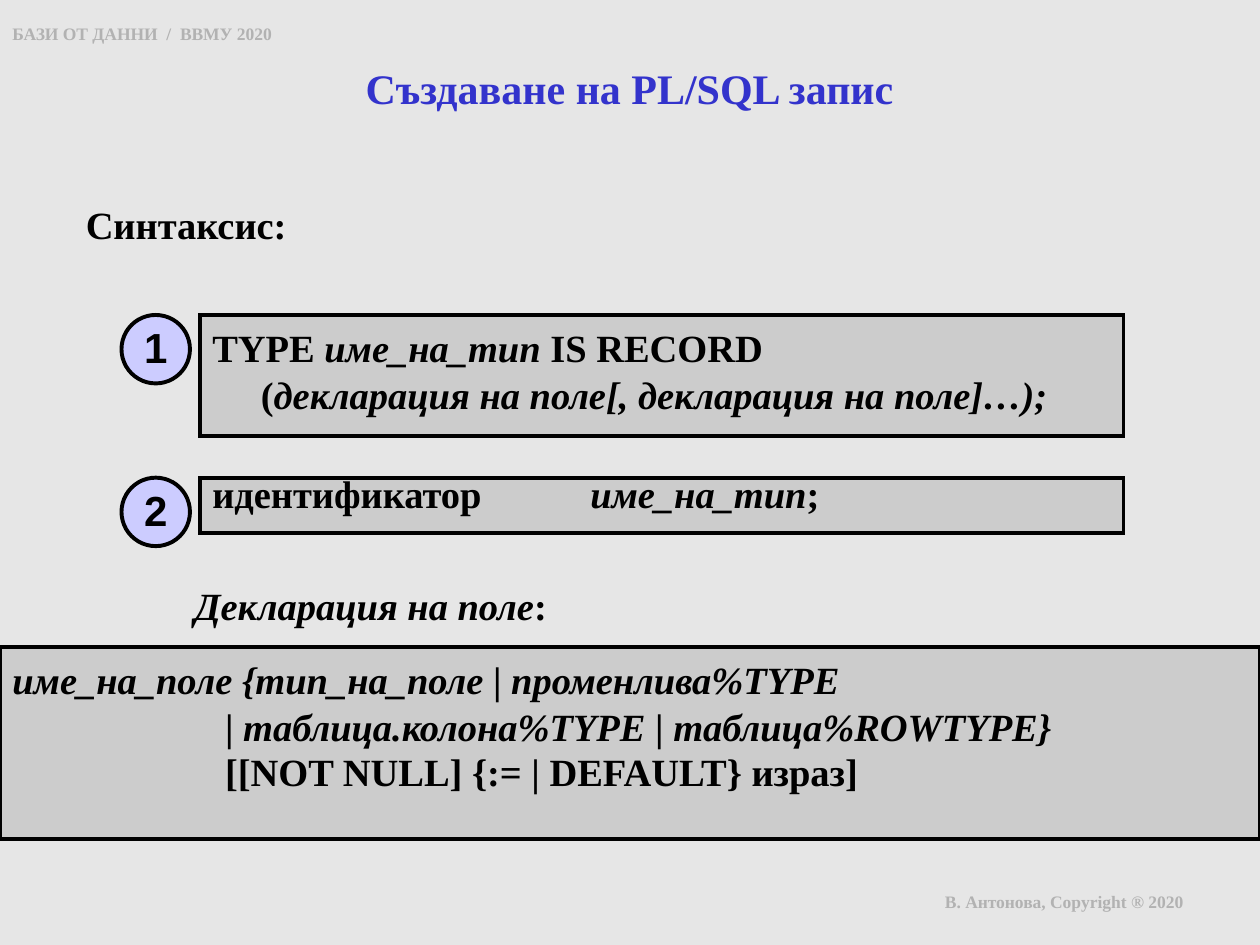
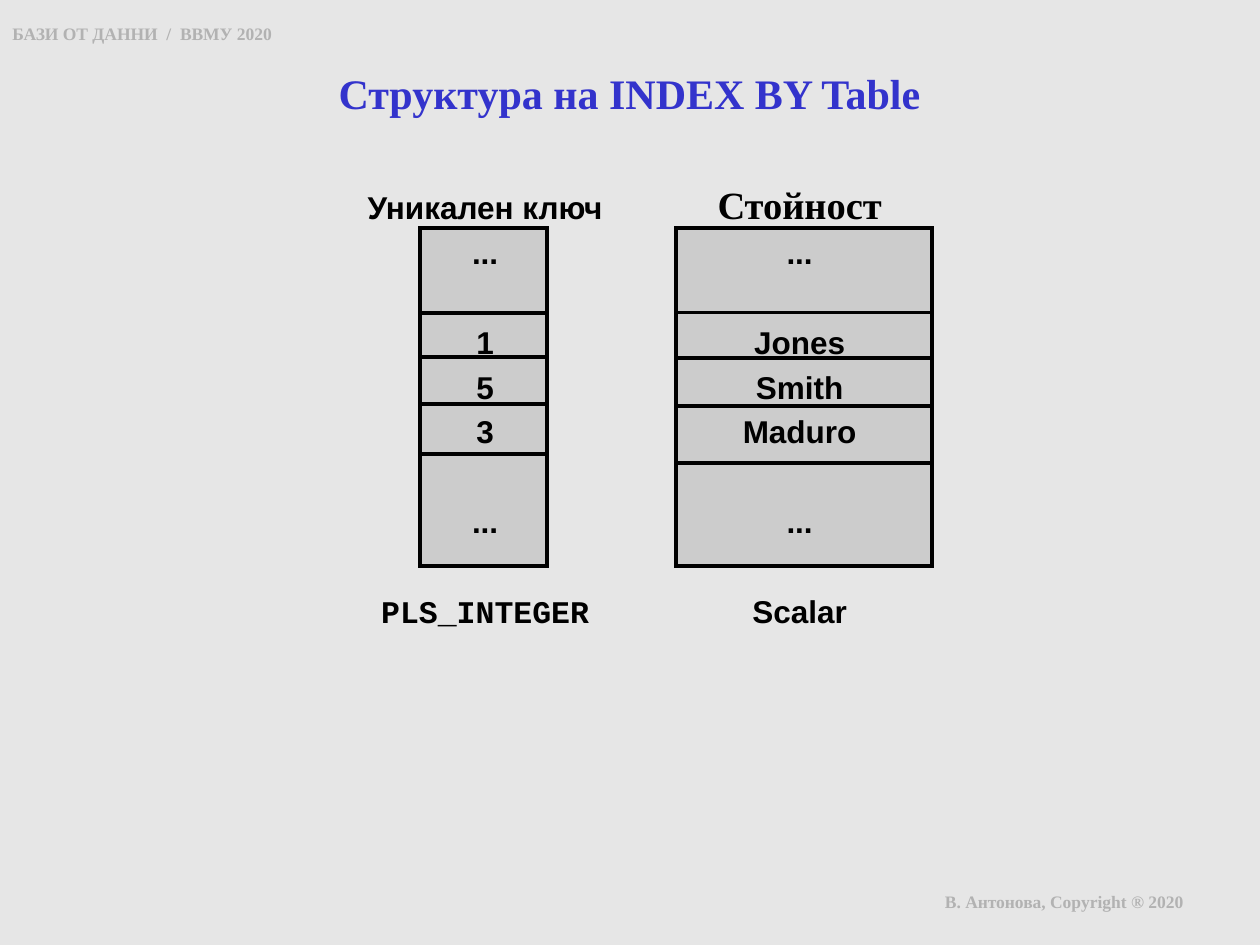
from dataclasses import dataclass, replace

from lxml import etree
from pptx import Presentation
from pptx.dml.color import RGBColor
from pptx.enum.shapes import MSO_CONNECTOR, MSO_SHAPE
from pptx.enum.text import MSO_ANCHOR, PP_ALIGN
from pptx.oxml.ns import qn
from pptx.util import Cm, Pt

RECTANGLE, OVAL = MSO_SHAPE.RECTANGLE, MSO_SHAPE.OVAL
STRAIGHT = MSO_CONNECTOR.STRAIGHT
LEFT, CENTER = PP_ALIGN.LEFT, PP_ALIGN.CENTER
TOP, MIDDLE = MSO_ANCHOR.TOP, MSO_ANCHOR.MIDDLE


@dataclass(frozen=True)
class Theme:
    """Colours, fonts, sizes and insets shared by the slides."""
    background: str = "E6E6E6"
    panel: str = "CCCCCC"
    badge: str = "CCCCFF"
    ink: str = "000000"
    title: str = "3333CC"
    muted: str = "B2B2B2"
    serif: str = "Times New Roman"
    sans: str = "Arial"
    mono: str = "Courier New"
    title_size: int = 24
    body_size: int = 22
    cell_size: int = 18
    note_size: int = 10
    outline: float = 2.25
    padding: tuple = (0.25, 0.13)
    tight: tuple = (0.03, 0.03)
    badge_padding: tuple = (0.13, 0.13)


THEME = Theme()


@dataclass(frozen=True)
class Style:
    """Look of one run of text."""
    size: int = THEME.body_size
    font: str = THEME.serif
    color: str = THEME.ink
    italic: bool = False


BODY = Style()
ITALIC = replace(BODY, italic=True)
TITLE = Style(THEME.title_size, color=THEME.title)
NOTE = Style(THEME.note_size, color=THEME.muted)
BADGE = Style(THEME.title_size, THEME.sans)
CELL = Style(THEME.cell_size, THEME.sans)
CODE = replace(CELL, font=THEME.mono)


@dataclass(frozen=True)
class Line:
    """A paragraph: runs, space before (percent, or gap in points), indent and tabs in cm."""
    runs: tuple
    before: int = 0
    spacing: float = 1.0
    align: int = LEFT
    indent: float = 0
    tabs: tuple = ()
    gap: float = 0


def write_line(paragraph, line):
    """Fill one paragraph, run by run."""
    paragraph.alignment = line.align
    paragraph.line_spacing = line.spacing
    paragraph.space_before = Pt(line.gap)
    properties = paragraph._p.get_or_add_pPr()
    if line.indent:
        properties.set("marL", str(Cm(line.indent)))
    if line.before:
        space = properties.find(qn("a:spcBef"))
        space.clear()
        etree.SubElement(space, qn("a:spcPct"), val=str(line.before * 1000))
    if line.tabs:
        stops = etree.SubElement(properties, qn("a:tabLst"))
        for position, kind in line.tabs:
            etree.SubElement(stops, qn("a:tab"), pos=str(Cm(position)), algn=kind)
    for text, style in line.runs:
        run = paragraph.add_run()
        run.text = text
        run.font.name = style.font
        run.font.size = Pt(style.size)
        run.font.bold = True
        run.font.italic = style.italic
        run.font.color.rgb = RGBColor.from_string(style.color)


def write_text(holder, lines, padding, anchor=TOP, wrap=True):
    """Set up the text frame of a shape and write its lines."""
    frame = holder.text_frame
    frame.word_wrap = wrap
    frame.vertical_anchor = anchor
    frame.margin_left = frame.margin_right = Cm(padding[0])
    frame.margin_top = frame.margin_bottom = Cm(padding[1])
    for number, line in enumerate(lines):
        write_line(frame.add_paragraph() if number else frame.paragraphs[0], line)


def add_text(slide, box, lines, padding=THEME.padding):
    """Place a text box."""
    write_text(slide.shapes.add_textbox(*map(Cm, box)), lines, padding)


def add_outlined(slide, kind, box, fill):
    """Place a filled shape with the common black outline and sharp corners."""
    outlined = slide.shapes.add_shape(kind, *map(Cm, box))
    outlined.shadow.inherit = False
    outlined.fill.solid()
    outlined.fill.fore_color.rgb = RGBColor.from_string(fill)
    outlined.line.color.rgb = RGBColor.from_string(THEME.ink)
    outlined.line.width = Pt(THEME.outline)
    etree.SubElement(outlined._element.spPr.find(qn("a:ln")), qn("a:miter"), lim="800000")
    return outlined


def add_panel(slide, box, lines):
    """Place a grey syntax panel."""
    write_text(add_outlined(slide, RECTANGLE, box, THEME.panel), lines, THEME.padding)


def add_step(slide, box, number, lines):
    """Place a syntax panel with its numbered badge on the left."""
    left, top, _, _ = box
    diameter = 1.38
    add_panel(slide, box, lines)
    badge = add_outlined(slide, OVAL, (left - 1.58, top, diameter, diameter), THEME.badge)
    write_text(badge, [Line(((number, BADGE),), spacing=0.95, align=CENTER)],
               THEME.badge_padding, MIDDLE, wrap=False)


def add_column(slide, box, dividers):
    """Place a column cut by horizontal lines at offsets from its top."""
    left, top, width, _ = box
    add_outlined(slide, RECTANGLE, box, THEME.panel)
    for offset in dividers:
        divider = slide.shapes.add_connector(
            STRAIGHT, Cm(left), Cm(top + offset), Cm(left + width), Cm(top + offset))
        divider.line.color.rgb = RGBColor.from_string(THEME.ink)
        divider.line.width = Pt(THEME.outline)
        etree.SubElement(divider._element.spPr, qn("a:effectLst"))


def add_page(deck, title, title_height, title_padding):
    """Add a blank slide with background, header, footer and title."""
    slide = deck.slides.add_slide(deck.slide_layouts[6])
    slide.background.fill.solid()
    slide.background.fill.fore_color.rgb = RGBColor.from_string(THEME.background)
    add_text(slide, (0, 0.34, 7.6, 0.69), [Line((("БАЗИ ОТ ДАННИ  /  ВВМУ 2020", NOTE),))])
    add_text(slide, (18.8, 17.83, 6.6, 1.07),
             [Line((("В. Антонова, Copyright ® 2020", NOTE),))])
    add_text(slide, (1.69, 1.23, 22, title_height),
             [Line(((title, TITLE),), before=20, align=CENTER)], title_padding)
    return slide


def build_record_slide(deck):
    """Syntax of a PL/SQL record."""
    slide = add_page(deck, "Създаване на PL/SQL запис", 2.44, THEME.tight)
    add_text(slide, (1.7, 4.03, 22, 1.02),
             [Line((("Синтаксис:", BODY),), before=20)], THEME.tight)

    step_left, step_width = 4.03, 18.62
    add_step(slide, (step_left, 6.35, step_width, 2.44), "1", [
        Line((("TYPE ", BODY), ("име_на_тип", ITALIC), (" IS RECORD", BODY)), 40, 1.05),
        Line((("(", BODY), ("декларация на поле[, декларация на поле]…);", ITALIC)),
             40, 0.65, indent=0.98),
    ])
    add_step(slide, (step_left, 9.63, step_width, 1.12), "2", [
        Line((("идентификатор\t", BODY), ("име_на_тип", ITALIC), (";", BODY)),
             40, 0.65, tabs=((7.62, "l"),)),
    ])

    add_text(slide, (3.89, 11.71, 18.97, 1.02),
             [Line((("Декларация на поле", ITALIC), (":", BODY)), before=20)], THEME.tight)
    field_indent = 4.29
    add_panel(slide, (0, 13.04, 25.4, 3.88), [
        Line((("име_на_поле {тип_на_поле ", ITALIC), ("| ", BODY),
              ("променлива%TYPE", ITALIC)), 40, 1.05),
        Line((("| ", BODY), ("таблица.колона%TYPE ", ITALIC), ("| ", BODY),
              ("таблица%ROWTYPE}", ITALIC)), 40, 0.65, indent=field_indent),
        Line((("[[NOT NULL] {:= | DEFAULT} израз]", BODY),), 40, 0.65, indent=field_indent),
    ])


def build_index_table_slide(deck):
    """Key and value columns of an INDEX BY table."""
    slide = add_page(deck, "Структура на INDEX BY Table", 1.24, THEME.padding)
    column_top, column_height = 4.6, 6.81
    add_column(slide, (8.47, column_top, 2.56, column_height), (1.71, 2.6, 3.55, 4.56))
    add_column(slide, (13.63, column_top, 5.16, column_height), (1.7, 2.61, 3.58, 4.73))

    centers = ((3.84, "ctr"), (10.18, "ctr"))
    near, far = {"before": 20}, {"gap": 29.8}
    rows = [
        (near, "Уникален ключ", CELL, "Стойност", BODY),
        (near, "...", CELL, "...", CELL),
        (far, "1", CELL, "Jones", CELL),
        (near, "5", CELL, "Smith", CELL),
        (near, "3", CELL, "Maduro", CELL),
        (far, "...", CELL, "...", CELL),
        (far, "PLS_INTEGER", CODE, "Scalar", CELL),
    ]
    add_text(slide, (5.69, 3.52, 13.97, 9.5), [
        Line((("\t", CELL), (key, key_style), ("\t", CELL), (value, value_style)),
             tabs=centers, **space)
        for space, key, key_style, value, value_style in rows
    ])


def main():
    """Build and save the two slides."""
    deck = Presentation()
    deck.slide_width, deck.slide_height = Cm(25.4), Cm(19.05)
    build_record_slide(deck)
    build_index_table_slide(deck)
    deck.save("out.pptx")


main()
